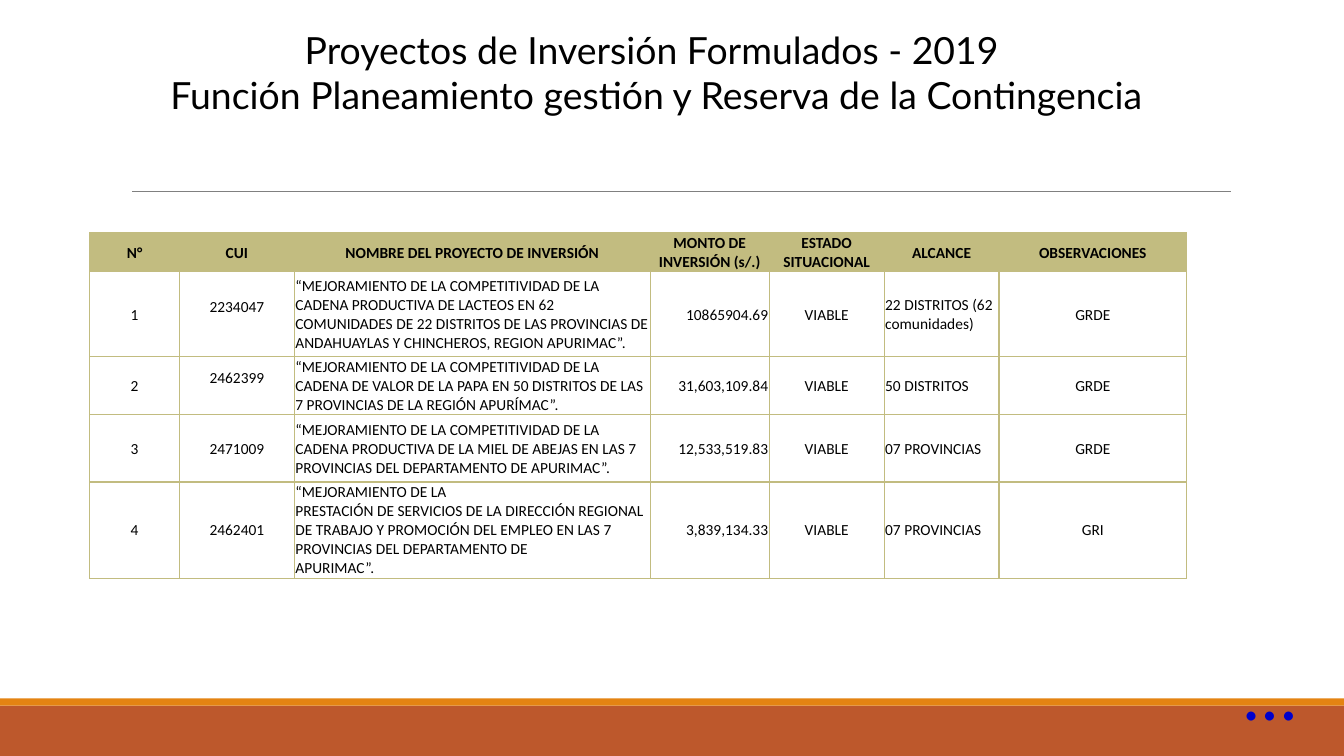
import copy

import pptx
import pptx.dml.color
import pptx.enum.shapes
import pptx.enum.text
import pptx.oxml
import pptx.oxml.ns
import pptx.util

Inches = pptx.util.Inches
ALIGN = pptx.enum.text.PP_ALIGN
ANCHOR = pptx.enum.text.MSO_ANCHOR
COLORS = {"ink": "000000", "rust": "BD582C", "orange": "E48312",
          "gray": "808080", "olive": "C2BC80", "blue": "0000CC"}

HEADS = ["N°", "CUI", "NOMBRE DEL PROYECTO DE INVERSIÓN", "MONTO DE INVERSIÓN (s/.)",
         "ESTADO SITUACIONAL", "ALCANCE", "OBSERVACIONES"]
ROWS = [
    ["1", "2234047",
     "“MEJORAMIENTO DE LA COMPETITIVIDAD DE LA CADENA PRODUCTIVA DE LACTEOS EN 62 COMUNIDADES "
     "DE 22 DISTRITOS DE LAS PROVINCIAS DE ANDAHUAYLAS Y CHINCHEROS, REGION APURIMAC”.",
     "10865904.69", "VIABLE", "22 DISTRITOS (62 comunidades)", "GRDE"],
    ["2", "2462399",
     "“MEJORAMIENTO DE LA COMPETITIVIDAD DE LA CADENA DE VALOR DE LA PAPA EN 50 DISTRITOS "
     "DE LAS 7 PROVINCIAS DE LA REGIÓN APURÍMAC”.",
     "31,603,109.84", "VIABLE", "50 DISTRITOS", "GRDE"],
    ["3", "2471009",
     "“MEJORAMIENTO DE LA COMPETITIVIDAD DE LA CADENA PRODUCTIVA DE LA MIEL DE ABEJAS "
     "EN LAS 7 PROVINCIAS DEL DEPARTAMENTO DE APURIMAC”.",
     "12,533,519.83", "VIABLE", "07 PROVINCIAS", "GRDE"],
    ["4", "2462401",
     "“MEJORAMIENTO DE LA\vPRESTACIÓN DE SERVICIOS DE LA DIRECCIÓN REGIONAL DE TRABAJO Y "
     "PROMOCIÓN DEL EMPLEO EN LAS 7 PROVINCIAS DEL DEPARTAMENTO DE\vAPURIMAC”.",
     "3,839,134.33", "VIABLE", "07 PROVINCIAS", "GRI"],
]
WIDTHS = [0.89, 1.14, 3.53, 1.18, 1.14, 1.14, 1.86]
HEIGHTS = [0.34, 0.84, 0.51, 0.67, 0.88]
ALIGNS = [ALIGN.CENTER, ALIGN.CENTER, ALIGN.LEFT, ALIGN.RIGHT,
          ALIGN.CENTER, ALIGN.LEFT, ALIGN.CENTER]


def rgb(name):
    return pptx.dml.color.RGBColor.from_string(COLORS[name])


def write(para, text, size=11, font="Calibri", color="ink", bold=False, align=ALIGN.LEFT):
    para.text = text
    para.alignment = align
    for run in para.runs:
        run.font.size = pptx.util.Pt(size)
        run.font.name = font
        run.font.bold = bold
        run.font.color.rgb = rgb(color)
    # Line breaks take the format of the text around them
    for brk in para._p.findall(pptx.oxml.ns.qn("a:br")):
        brk.append(copy.deepcopy(para.runs[0]._r.rPr))


class Page:
    def __init__(self, slide, line=1):
        self.slide = slide
        self.line = line

    def band(self, top, height, color):
        bar = self.slide.shapes.add_shape(
            pptx.enum.shapes.MSO_SHAPE.RECTANGLE, 0, Inches(top), Inches(13.33), Inches(height))
        bar.shadow.inherit = False
        bar.fill.solid()
        bar.fill.fore_color.rgb = rgb(color)
        bar.line.fill.background()

    def rule(self, left, right, top):
        line = self.slide.shapes.add_connector(
            pptx.enum.shapes.MSO_CONNECTOR.STRAIGHT,
            Inches(left), Inches(top), Inches(right), Inches(top))
        line.line.color.rgb = rgb("gray")
        line.line.width = pptx.util.Pt(0.5)
        line._element.spPr.append(pptx.oxml.parse_xml(
            f'<a:effectLst {pptx.oxml.ns.nsdecls("a")}/>'))

    def text(self, box, lines, pad=None, anchor=ANCHOR.TOP, **style):
        frame = self.slide.shapes.add_textbox(*map(Inches, box)).text_frame
        frame.word_wrap = True
        frame.vertical_anchor = anchor
        if pad is not None:
            frame.margin_left = frame.margin_right = Inches(pad)
            frame.margin_top = frame.margin_bottom = Inches(pad)
        for i, line in enumerate(lines):
            write(frame.add_paragraph() if i else frame.paragraphs[0], line, **style)

    def edge(self, cell):
        props = cell._tc.get_or_add_tcPr()
        for side in "LRTB":
            props.append(pptx.oxml.parse_xml(
                f'<a:ln{side} {pptx.oxml.ns.nsdecls("a")} w="{pptx.util.Pt(self.line)}">'
                f'<a:solidFill><a:srgbClr val="{COLORS["olive"]}"/></a:solidFill></a:ln{side}>'))

    def table(self, left, top, rows):
        grid = self.slide.shapes.add_table(
            len(rows), len(WIDTHS), Inches(left), Inches(top),
            Inches(sum(WIDTHS)), Inches(sum(HEIGHTS))).table
        grid.first_row = grid.horz_banding = False
        for col, width in zip(grid.columns, WIDTHS):
            col.width = Inches(width)
        for r, (row, height) in enumerate(zip(rows, HEIGHTS)):
            grid.rows[r].height = Inches(height)
            for c, text in enumerate(row):
                cell = grid.cell(r, c)
                cell.vertical_anchor = ANCHOR.MIDDLE
                cell.margin_left = cell.margin_right = cell.margin_top = Inches(0.01)
                # The first two codes sit a little above the middle
                cell.margin_bottom = Inches(0.15 if c == 1 and r in (1, 2) else 0)
                self.edge(cell)
                if r == 0:
                    cell.fill.solid()
                    cell.fill.fore_color.rgb = rgb("olive")
                else:
                    cell.fill.background()
                write(cell.text_frame.paragraphs[0], text, bold=r == 0,
                      align=ALIGNS[c] if r else ALIGN.CENTER)


def main():
    deck = pptx.Presentation()
    deck.slide_width, deck.slide_height = Inches(13.33), Inches(7.5)
    page = Page(deck.slides.add_slide(deck.slide_layouts[6]))

    # Footer bands and rule
    page.band(7, 0.5, "rust")
    page.band(6.93, 0.07, "orange")
    page.rule(1.31, 12.21, 1.9)

    # Project table
    page.table(0.89, 2.31, [HEADS] + ROWS)

    # Title and closing dots
    page.text((0.74, 0.27, 11.55, 0.89),
              ["Proyectos de Inversión Formulados - 2019 ",
               "Función Planeamiento gestión y Reserva de la Contingencia"],
              pad=0, anchor=ANCHOR.BOTTOM, size=26.7, font="Lato", align=ALIGN.CENTER)
    page.text((12.24, 6.36, 1.09, 1), ["…"], size=53.3, color="blue")

    deck.save("out.pptx")


if __name__ == "__main__":
    main()
